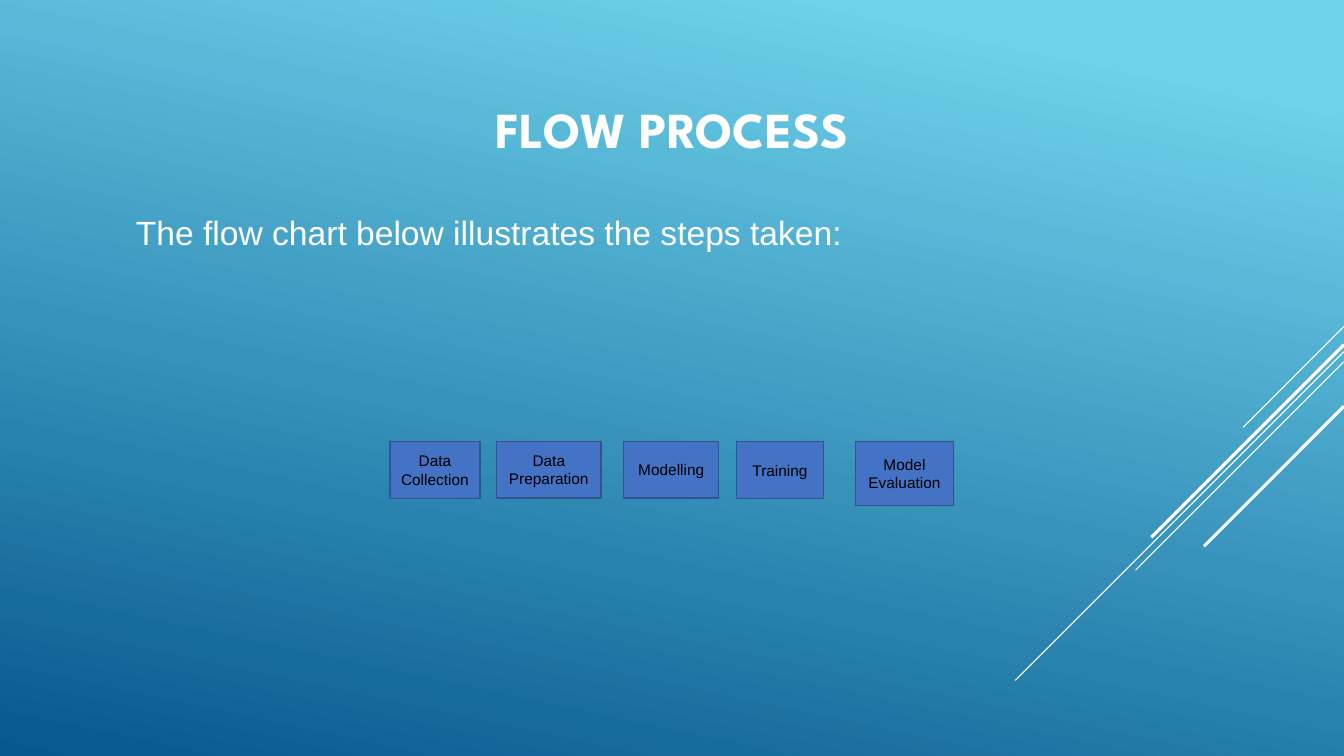
from lxml import etree
from pptx import Presentation
from pptx.dml.color import RGBColor
from pptx.enum.shapes import MSO_CONNECTOR, MSO_SHAPE
from pptx.enum.text import MSO_ANCHOR, PP_ALIGN
from pptx.oxml.ns import qn
from pptx.util import Pt

RECT = MSO_SHAPE.RECTANGLE
LINE = MSO_CONNECTOR.STRAIGHT
MID, TOP = MSO_ANCHOR.MIDDLE, MSO_ANCHOR.TOP
LEFT, CENTER = PP_ALIGN.LEFT, PP_ALIGN.CENTER
WHITE, BLACK = "FFFFFF", "000000"

# Offset from the left, width and height of each step
STEPS = [
    ("Data Collection", 0, 64.2, 41),
    ("Data Preparation", 76.2, 74.4, 40.4),
    ("Modelling", 167, 67.8, 40.4),
    ("Training", 247.6, 62, 41),
    ("Model Evaluation", 332.6, 69.8, 46),
]
# Offset from the top, run and weight of each 45-degree stripe
STRIPES = [
    (0, 72, 0.75),
    (18, 234.8, 0.75),
    (25.2, 149, 0.75),
    (13, 137.6, 2.25),
    (57, 100, 2.25),
]


def color(code):
    """Turn a hex string into a colour."""
    return RGBColor.from_string(code)


def write(shape, text, size, font, ink, align, anchor, bold=False):
    """Put one formatted run of text into a shape."""
    frame = shape.text_frame
    frame.word_wrap = True
    frame.vertical_anchor = anchor
    para = frame.paragraphs[0]
    para.alignment = align
    run = para.add_run()
    run.text = text
    run.font.size = Pt(size)
    run.font.name = font
    run.font.bold = bold
    run.font.color.rgb = color(ink)


def label(slide, box, *style, **more):
    """Add a text box that fills the given box."""
    write(slide.shapes.add_textbox(*map(Pt, box)), *style, **more)


def paint(slide):
    """Fill the background with the blue gradient."""
    fill = slide.background.fill
    fill.gradient()
    fill.gradient_angle = 258
    for stop, (place, code) in zip(
        fill.gradient_stops, [(0.1, "6ED2EB"), (1, "06588E")]
    ):
        stop.position = place
        stop.color.rgb = color(code)


def stripes(slide, box):
    """Draw slanted lines down from the right edge of the box."""
    left, top, width, _ = box
    right = left + width
    for drop, run, weight in STRIPES:
        start = top + drop
        ends = (right, start, right - run, start + run)
        line = slide.shapes.add_connector(LINE, *map(Pt, ends))
        line.line.color.rgb = color(WHITE)
        line.line.width = Pt(weight)
        etree.SubElement(line._element.spPr, qn("a:effectLst"))


def flow(slide, box):
    """Place the process steps along the top of the box."""
    left, top = box[:2]
    for name, shift, width, height in STEPS:
        place = (left + shift, top, width, height)
        step = slide.shapes.add_shape(RECT, *map(Pt, place))
        step.shadow.inherit = False
        step.fill.solid()
        step.fill.fore_color.rgb = color("4472C4")
        step.line.color.rgb = color("31538F")
        step.line.width = Pt(1)
        write(step, name, 11, "Arial", BLACK, CENTER, MID)


def build():
    """Build the slide and save it."""
    deck = Presentation()
    deck.slide_width, deck.slide_height = Pt(960), Pt(540)
    slide = deck.slides.add_slide(deck.slide_layouts[6])
    paint(slide)
    stripes(slide, (725, 233.2, 235, 253))
    label(slide, (66, 39.6, 828, 104.4), "FLOW PROCESS", 36,
          "League Spartan", WHITE, CENTER, MID, bold=True)
    flow(slide, (278.6, 315.2, 402.4, 46))
    label(slide, (90, 147.6, 524, 50),
          "The flow chart below illustrates the steps taken:", 24,
          "Arial", WHITE, LEFT, TOP)
    deck.save("out.pptx")


build()
